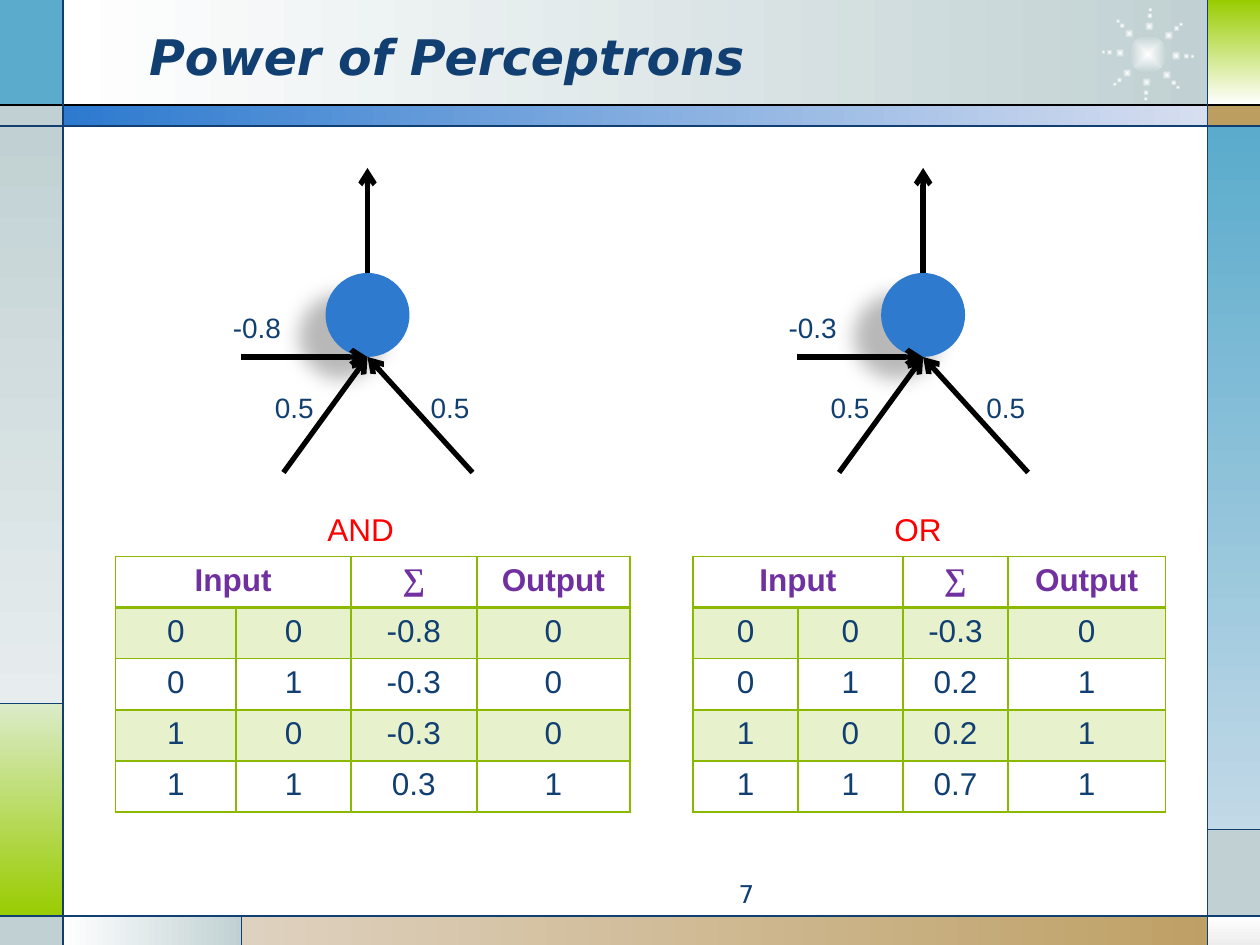
from math import cos, pi, sin

from lxml.etree import SubElement
from pptx import Presentation
from pptx.dml.color import RGBColor
from pptx.enum.shapes import MSO_CONNECTOR as Connector, MSO_SHAPE as Shape
from pptx.enum.text import MSO_ANCHOR as Anchor, MSO_AUTO_SIZE as AutoSize, PP_ALIGN as Align
from pptx.oxml import parse_xml
from pptx.oxml.ns import nsdecls, qn
from pptx.util import Pt

COLORS = {
    "navy": "113F71", "blue": "2D7ACF", "pale_blue": "D7DEF0", "sky": "5AABCC",
    "pale_sky": "C2D9E7", "gray": "C1D1D3", "pale_gray": "E7EDEE", "silver": "EDEDED",
    "lime": "99CC00", "pale_lime": "DBEBC9", "tan": "BD9E61", "pale_tan": "DED1BF",
    "white": "FFFFFF", "black": "000000", "red": "FF0000", "purple": "7030A0",
    "grid": "8AB900",
}
RIGHTWARD, DOWNWARD = 0, 270


def rgb(name):
    return RGBColor.from_string(COLORS[name])


def add_plain_shape(slide, kind, left, top, width, height):
    shape = slide.shapes.add_shape(kind, Pt(left), Pt(top), Pt(width), Pt(height))
    shape.shadow.inherit = False
    shape.line.fill.background()
    return shape


def fill_gradient(shape, start, end, angle=RIGHTWARD):
    shape.fill.gradient()
    for stop, name in zip(shape.fill.gradient_stops, (start, end)):
        stop.color.rgb = rgb(name)
    shape.fill.gradient_angle = angle


def add_line(slide, start, end, color, weight, arrow=False):
    points = [Pt(value) for value in (*start, *end)]
    line = slide.shapes.add_connector(Connector.STRAIGHT, *points)
    line.line.color.rgb = rgb(color)
    line.line.width = Pt(weight)
    properties = line.element.spPr
    if arrow:
        SubElement(properties.find(qn("a:ln")), qn("a:tailEnd"), type="arrow")
    SubElement(properties, qn("a:effectLst"))
    return line


def format_paragraph(paragraph, text, size, font_name, color, bold=False, align=Align.LEFT):
    paragraph.text = text
    paragraph.alignment = align
    font = paragraph.font
    font.size, font.name, font.bold = Pt(size), font_name, bold
    font.color.rgb = rgb(color)


def add_label(slide, left, top, width, height, text, size, color):
    label = slide.shapes.add_textbox(Pt(left), Pt(top), Pt(width), Pt(height))
    frame = label.text_frame
    frame.word_wrap = False
    frame.auto_size = AutoSize.SHAPE_TO_FIT_TEXT
    format_paragraph(frame.paragraphs[0], text, size, "Arial", color)


def add_frame(slide, width, height):
    left, right, header, body, footer = 36, 690, 60, 72, 523.5
    side, foot = width - right, height - footer
    panels = [
        (left, 0, right - left, header, "white", "gray", RIGHTWARD),
        (0, 0, left, header, "sky", None, None),
        (0, header, left, body - header, "gray", None, None),
        (0, body, left, 330, "gray", "pale_gray", DOWNWARD),
        (0, 402, left, footer - 402, "pale_lime", "lime", DOWNWARD),
        (0, footer, left, foot, "gray", None, None),
        (left, footer, 102, foot, "white", "gray", RIGHTWARD),
        (138, footer, width - 138, foot, "pale_tan", "tan", RIGHTWARD),
        (right, footer, side, foot, "white", "silver", DOWNWARD),
        (right, 474, side, footer - 474, "gray", None, None),
        (right, body, side, 402, "sky", "pale_sky", DOWNWARD),
        (right, header, side, body - header, "tan", None, None),
        (right, 0, side, header, "lime", "white", DOWNWARD),
        (left, header, right - left, body - header, "blue", "pale_blue", RIGHTWARD),
    ]
    for *box, start, end, angle in panels:
        panel = add_plain_shape(slide, Shape.RECTANGLE, *box)
        if end:
            fill_gradient(panel, start, end, angle)
        else:
            panel.fill.solid()
            panel.fill.fore_color.rgb = rgb(start)

    add_sunburst(slide, 656, 31)

    add_line(slide, (0, header), (width, header), "black", 0.75)
    rules = [
        ((0, body), (width, body)), ((0, footer), (width, footer)),
        ((left, 0), (left, height)), ((right, 0), (right, height)),
        ((0, 402), (left, 402)), ((138, footer), (138, height)),
        ((right, 474), (width, 474)),
    ]
    for start, end in rules:
        add_line(slide, start, end, "navy", 0.75)


def add_sunburst(slide, center_x, center_y, rays=8):
    dots = [(0, 0, 21.6)]
    for ray in range(rays):
        angle = 2 * pi * ray / rays + 0.05
        for radius, size in ((16, 5.4), (22, 3.5), (25.5, 2.5)):
            dots.append((radius * cos(angle), radius * sin(angle), size))
    for x, y, size in dots:
        dot = add_plain_shape(slide, Shape.OVAL, center_x + x - size / 2,
                              center_y + y - size / 2, size, size)
        fill_gradient(dot, "white", "gray")
        gradient = dot.element.spPr.find(qn("a:gradFill"))
        gradient.replace(gradient.find(qn("a:lin")), parse_xml(
            f'<a:path {nsdecls("a")} path="shape">'
            '<a:fillToRect l="50000" t="50000" r="50000" b="50000"/></a:path>'))


def add_title(slide, left, top, width, height, text):
    title = slide.shapes.title
    title.left, title.top, title.width, title.height = map(Pt, (left, top, width, height))
    title.text_frame.vertical_anchor = Anchor.MIDDLE
    paragraph = title.text_frame.paragraphs[0]
    format_paragraph(paragraph, text, 28, "DejaVu Sans", "navy", bold=True)
    paragraph.font.italic = True
    title.element.getparent().append(title.element)


def add_page_number(slide, left, top, width, height, text):
    box = slide.shapes.add_textbox(Pt(left), Pt(top), Pt(width), Pt(height))
    box.text_frame.word_wrap = True
    format_paragraph(box.text_frame.paragraphs[0], text, 14, "DejaVu Sans", "navy",
                     align=Align.RIGHT)


def add_perceptron(slide, left, top, bias):
    center, diameter = left + 84, 48
    body_top = top + 60
    junction = (center, body_top + diameter)
    body = add_plain_shape(slide, Shape.OVAL, center - diameter / 2, body_top,
                           diameter, diameter)
    body.fill.solid()
    body.fill.fore_color.rgb = rgb("blue")
    effects = body.element.spPr.find(qn("a:effectLst"))
    shadow = SubElement(effects, qn("a:outerShdw"), blurRad=str(Pt(11.8)),
                        dist=str(Pt(19.7)), dir=str(141 * 60000), rotWithShape="0")
    shade = SubElement(shadow, qn("a:srgbClr"), val=COLORS["black"])
    SubElement(shade, qn("a:alpha"), val="28000")

    for start in ((center - 48, top + 174), (center + 60, top + 174)):
        add_line(slide, start, junction, "black", 3, arrow=True)
    output = add_line(slide, (center, body_top), (center, top), "black", 3, arrow=True)
    output.begin_connect(body, 0)
    add_line(slide, (center - 72, junction[1]), junction, "black", 3, arrow=True)

    add_label(slide, left, top + 78, 42.5, 26.6, bias, 16, "navy")
    for offset in (24, 113):
        add_label(slide, left + offset, top + 123.6, 36.7, 26.6, "0.5", 16, "navy")


def format_cell(cell, row, text, font_name):
    header = row == 0
    format_paragraph(cell.text_frame.paragraphs[0], text, 18, font_name,
                     "purple" if header else "navy", bold=header, align=Align.CENTER)
    properties = cell._tc.get_or_add_tcPr()
    if row % 2:
        cell.fill.solid()
        cell.fill.fore_color.rgb = rgb("grid")
        shade = properties.find(qn("a:solidFill")).find(qn("a:srgbClr"))
        SubElement(shade, qn("a:alpha"), val="20000")
    else:
        cell.fill.background()
    weights = {"lnL": 1, "lnR": 1, "lnT": 2 if row == 1 else 1, "lnB": 2 if header else 1}
    for index, (side, weight) in enumerate(weights.items()):
        properties.insert(index, parse_xml(
            f'<a:{side} {nsdecls("a")} w="{Pt(weight)}"><a:solidFill>'
            f'<a:srgbClr val="{COLORS["grid"]}"/></a:solidFill></a:{side}>'))


def add_truth_table(slide, left, top, column_widths, results):
    row_height = 29.2
    inputs = [("0", "0"), ("0", "1"), ("1", "0"), ("1", "1")]
    rows = [("Input", "", "∑", "Output")]
    rows += [pair + result for pair, result in zip(inputs, results)]
    table = slide.shapes.add_table(len(rows), len(column_widths), Pt(left), Pt(top),
                                   Pt(sum(column_widths)), Pt(row_height * len(rows))).table
    table.first_row = table.horz_banding = False
    for column, width in zip(table.columns, column_widths):
        column.width = Pt(width)
    for row, values in enumerate(rows):
        table.rows[row].height = Pt(row_height)
        for column, text in enumerate(values):
            font_name = "Times New Roman" if text == "∑" else "Arial"
            format_cell(table.cell(row, column), row, text, font_name)
    table.cell(0, 0).merge(table.cell(0, 1))


def main():
    presentation = Presentation()
    presentation.slide_width, presentation.slide_height = Pt(720), Pt(540)
    slide = presentation.slides.add_slide(presentation.slide_layouts[5])
    add_frame(slide, 720, 540)
    add_title(slide, 78, 9.5, 600, 44.5, "Power of Perceptrons")
    add_page_number(slide, 270, 499, 168, 19.5, "7")
    add_perceptron(slide, 126, 96, "-0.8")
    add_perceptron(slide, 443.5, 96, "-0.3")
    add_truth_table(slide, 66, 318, (69, 65.5, 72, 87.5),
                    [("-0.8", "0"), ("-0.3", "0"), ("-0.3", "0"), ("0.3", "1")])
    add_truth_table(slide, 396, 318, (60, 60, 60, 90),
                    [("-0.3", "0"), ("0.2", "1"), ("0.2", "1"), ("0.7", "1")])
    add_label(slide, 180, 288, 52.5, 29, "AND", 18, "red")
    add_label(slide, 504, 288, 41.5, 29, "OR", 18, "red")
    presentation.save("out.pptx")


if __name__ == "__main__":
    main()
